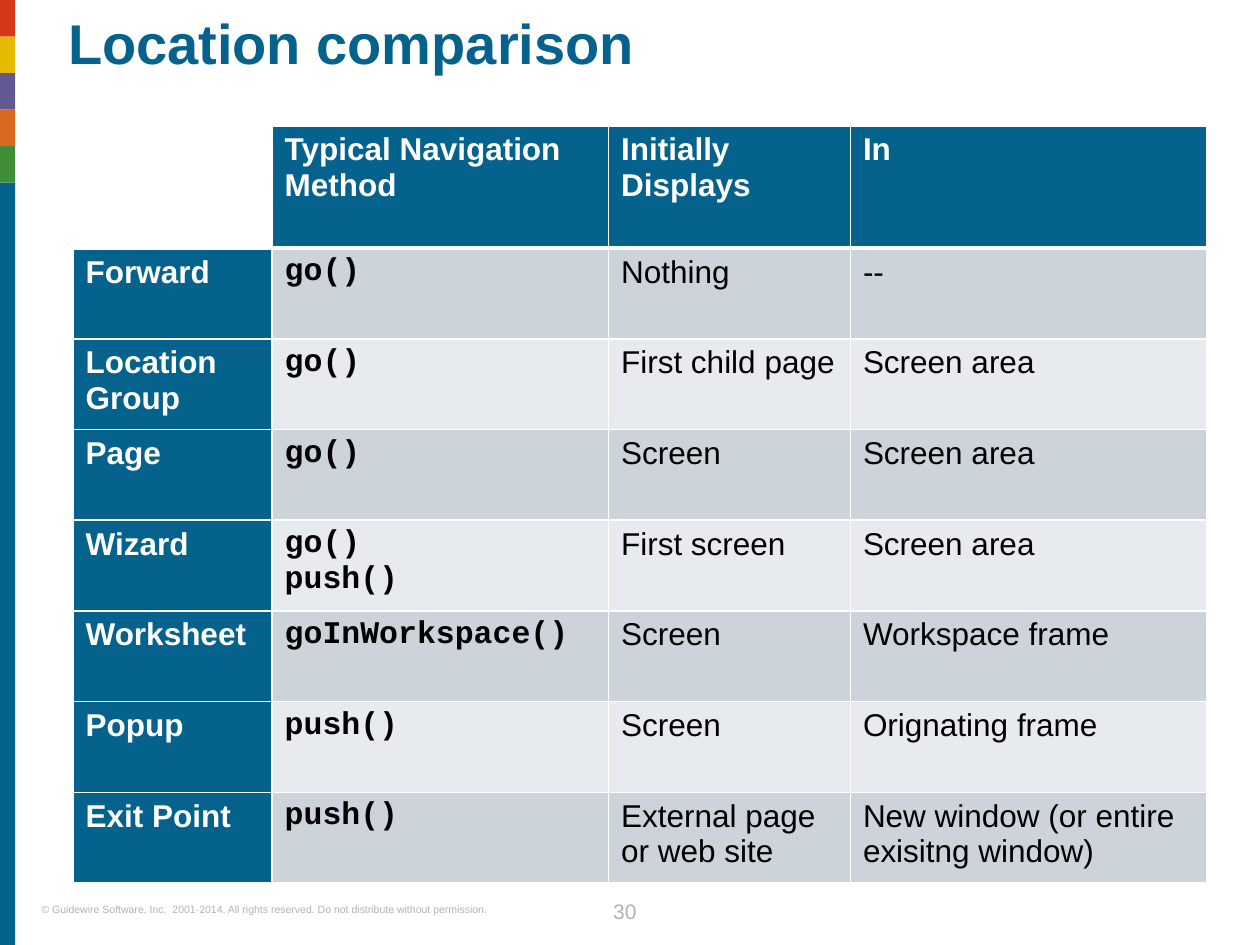
from lxml import etree
from pptx import Presentation
from pptx.dml.color import RGBColor
from pptx.enum.shapes import MSO_SHAPE
from pptx.enum.text import PP_ALIGN
from pptx.oxml.ns import qn
from pptx.util import Inches, Pt

RECT = MSO_SHAPE.RECTANGLE
LEFT, CENTER = PP_ALIGN.LEFT, PP_ALIGN.CENTER
BLUE, WHITE, GRAY, BLACK = "04628C", "FFFFFF", "B2B2B2", "000000"
BANDS = ["CCD3DA", "E7EAEE"]
STRIPES = ["D33819", "E5BA03", "645893", "D8691E", "3F8E39"]
STEP = 0.29
COLS = [1.58, 2.67, 1.92, 2.83]
HEAD, ROW = 0.97, 0.72
# "\v" breaks a line, "\n" starts a paragraph
ROWS = [
    ["", "Typical Navigation\vMethod", "Initially\vDisplays", "In"],
    ["Forward", "go()", "Nothing", "--"],
    ["Location\vGroup", "go()", "First child page", "Screen area"],
    ["Page", "go()", "Screen", "Screen area"],
    ["Wizard", "go()\npush()", "First screen", "Screen area"],
    ["Worksheet", "goInWorkspace()", "Screen", "Workspace frame"],
    ["Popup", "push()", "Screen", "Orignating frame"],
    ["Exit Point", "push()", "External page or web site",
     "New window (or entire exisitng window)"],
]


def color(code):
    return RGBColor.from_string(code)


def style(frame, size, code, bold=False, face="Arial"):
    for para in frame.paragraphs:
        font = para.font
        font.name, font.size, font.bold = face, Pt(size), bold
        font.color.rgb = color(code)


def add_text(slide, box, text, size, code, bold=False, align=LEFT, space=None):
    shape = slide.shapes.add_textbox(*map(Inches, box))
    frame = shape.text_frame
    frame.word_wrap = True
    frame.margin_left = frame.margin_right = 0
    frame.margin_top = frame.margin_bottom = 0
    frame.text = text
    para = frame.paragraphs[0]
    para.alignment, para.line_spacing = align, space
    style(frame, size, code, bold)


def add_bar(slide, top, height, code):
    bar = slide.shapes.add_shape(RECT, 0, Inches(top), Inches(0.12),
                                 Inches(height))
    bar.shadow.inherit = False
    bar.fill.solid()
    bar.fill.fore_color.rgb = color(code)
    bar.line.fill.background()


def set_edges(cell, widths):
    """Draw white borders; they must come before the cell's fill."""
    props = cell._tc.get_or_add_tcPr()
    for side, width in widths.items():
        line = etree.SubElement(props, qn("a:ln" + side), w=str(Pt(width)))
        fill = etree.SubElement(line, qn("a:solidFill"))
        etree.SubElement(fill, qn("a:srgbClr"), val=WHITE)


def fill_cell(cell, row, col, text):
    set_edges(cell, {"L": 1, "R": 1, "T": 3 if row == 1 else 1,
                     "B": 3 if row == 0 else 1})
    label = row == 0 or col == 0
    if row == col == 0:
        back = WHITE
    else:
        back = BLUE if label else BANDS[(row - 1) % 2]
    cell.fill.solid()
    cell.fill.fore_color.rgb = color(back)
    cell.text_frame.text = text
    code = col == 1 and row > 0
    style(cell.text_frame, 18, WHITE if label else BLACK, label or code,
          "Courier New" if code else "Arial")


def add_grid(slide):
    frame = slide.shapes.add_table(len(ROWS), len(COLS), Inches(0.58),
                                   Inches(1), Inches(9), Inches(6))
    table = frame.table
    for col, width in enumerate(COLS):
        table.columns[col].width = Inches(width)
    for row, texts in enumerate(ROWS):
        table.rows[row].height = Inches(ROW if row else HEAD)
        for col, text in enumerate(texts):
            fill_cell(table.cell(row, col), row, col, text)


def main():
    deck = Presentation()
    deck.slide_width, deck.slide_height = Inches(10), Inches(7.5)
    slide = deck.slides.add_slide(deck.slide_layouts[6])

    # Colour strip on the left edge
    base = STEP * len(STRIPES)
    add_bar(slide, base, 7.5 - base, BLUE)
    for i, code in enumerate(STRIPES):
        add_bar(slide, i * STEP, STEP, code)

    # Footer
    add_text(slide, (0.33, 7.17, 4.02, 0.1),
             "© Guidewire Software, Inc.  2001-2014. All rights reserved. "
             "Do not distribute without permission.", 6, GRAY)
    add_text(slide, (4.71, 7.08, 0.5, 0.25), "30", 12, GRAY,
             align=CENTER, space=Pt(18))

    # Title and table
    add_text(slide, (0.54, 0.13, 9.1, 0.81), "Location comparison", 32, BLUE,
             bold=True, space=0.9)
    add_grid(slide)
    deck.save("out.pptx")


if __name__ == "__main__":
    main()
